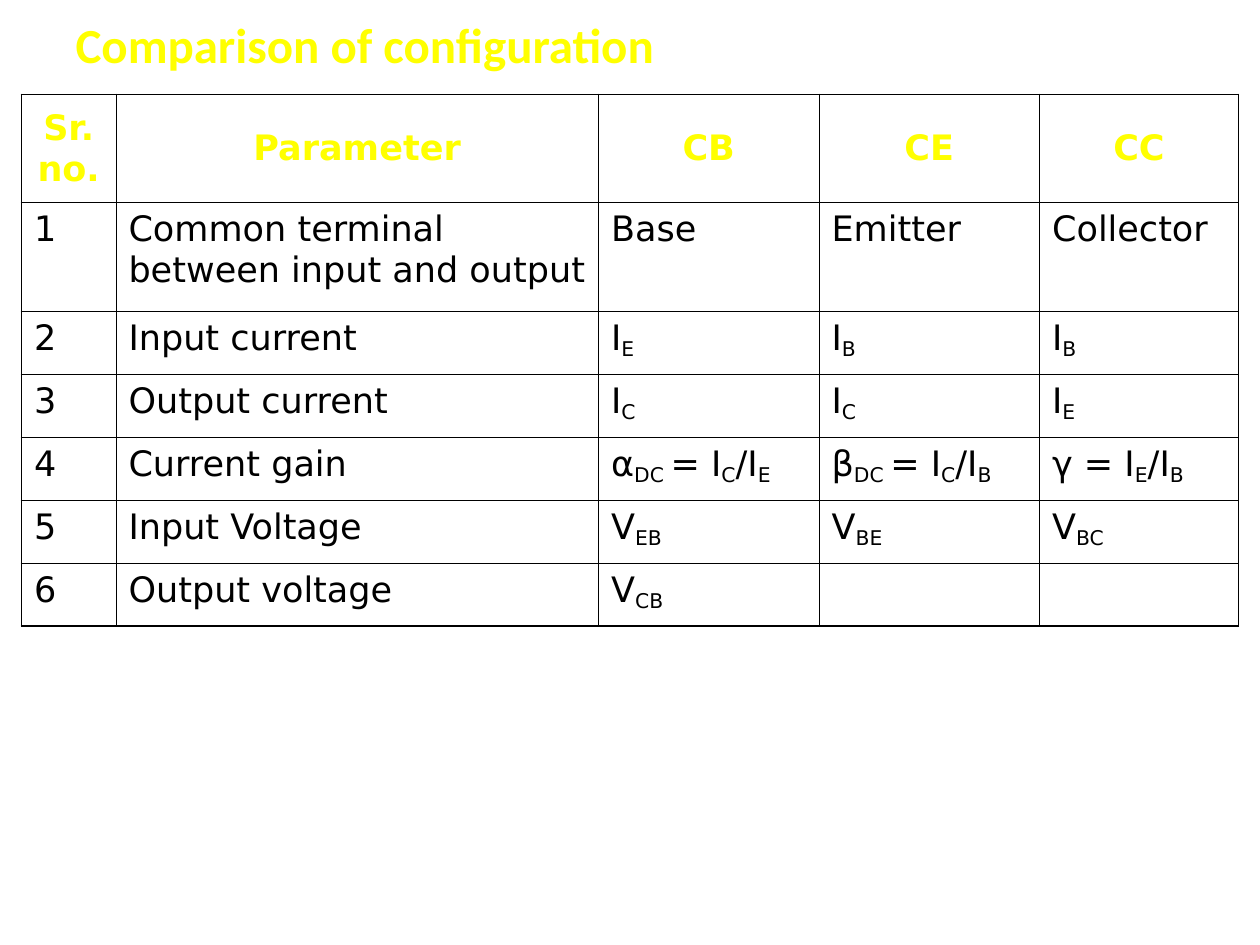
"""Build a slide that compares transistor configurations in a table."""
import dataclasses

import pptx
import pptx.dml.color
import pptx.enum.text
import pptx.oxml
import pptx.oxml.ns
import pptx.util
from pptx.util import Inches


@dataclasses.dataclass(frozen=True)
class Theme:
    accent: str = "FFFF00"
    ink: str = "000000"
    head: str = "Calibri"
    body: str = "DejaVu Sans"
    big: float = 28
    small: float = 20
    thick: float = 1.08
    thin: float = 0.45


theme = Theme()


def style(run, face, size, color, bold):
    run.font.name = face
    run.font.size = pptx.util.Pt(size)
    run.font.bold = bold
    run.font.color.rgb = pptx.dml.color.RGBColor.from_string(color)


def edge(cell, side, width):
    line = pptx.oxml.parse_xml(
        f'<a:ln{side} {pptx.oxml.ns.nsdecls("a")} w="{pptx.util.Pt(width)}">'
        f'<a:solidFill><a:srgbClr val="{theme.ink}"/></a:solidFill></a:ln{side}>'
    )
    cell._tc.get_or_add_tcPr().append(line)


deck = pptx.Presentation()
deck.slide_width, deck.slide_height = Inches(10), Inches(7.5)
slide = deck.slides.add_slide(deck.slide_layouts[5])

title = slide.shapes.title
title.left, title.top = Inches(0.5), Inches(0.08)
title.width, title.height = Inches(9), Inches(0.53)
frame = title.text_frame
frame.text = "Comparison of configuration"
frame.auto_size = pptx.enum.text.MSO_AUTO_SIZE.NONE
frame.vertical_anchor = pptx.enum.text.MSO_ANCHOR.MIDDLE
frame.paragraphs[0].alignment = pptx.enum.text.PP_ALIGN.LEFT
style(frame.paragraphs[0].runs[0], theme.head, theme.big, theme.accent, True)

rows = [
    ["Sr.\vno.", "Parameter", "CB", "CE", "CC"],
    ["1", "Common terminal between input and output", "Base", "Emitter", "Collector"],
    ["2", "Input current", "I_E", "I_B", "I_B"],
    ["3", "Output current", "I_C", "I_C", "I_E"],
    ["4", "Current gain", "α_DC _= I_C_/I_E", "β_DC _= I_C_/I_B", "γ = I_E_/I_B"],
    ["5", "Input Voltage", "V_EB", "V_BE", "V_BC"],
    ["6", "Output voltage", "V_CB", "", ""],
]
widths = [0.75, 3.83, 1.75, 1.75, 1.58]
heights = [0.86] * 2 + [0.5] * 5
last_row, last_col = len(rows) - 1, len(widths) - 1

table = slide.shapes.add_table(
    len(rows), len(widths), Inches(0.17), Inches(0.75),
    Inches(sum(widths)), Inches(sum(heights)),
).table
table.first_row = table.horz_banding = False
for col, width in zip(table.columns, widths):
    col.width = Inches(width)

for y, (row, height) in enumerate(zip(rows, heights)):
    table.rows[y].height = Inches(height)
    for x, text in enumerate(row):
        cell = table.cell(y, x)
        outer = {"L": x == 0, "R": x == last_col, "T": y == 0, "B": y == last_row}
        for side, rim in outer.items():
            edge(cell, side, theme.thick if rim else theme.thin)
        cell.fill.background()
        para = cell.text_frame.paragraphs[0]
        first, *rest = text.split("_")
        para.text = first
        for part in rest:
            para.add_run().text = part
        for run in para.runs:
            style(run, theme.body, theme.small, theme.ink if y else theme.accent, y == 0)
        if y == 0:
            cell.vertical_anchor = pptx.enum.text.MSO_ANCHOR.MIDDLE
            para.alignment = pptx.enum.text.PP_ALIGN.CENTER
        else:
            for run in para.runs[1::2]:
                run._r.get_or_add_rPr().set("baseline", "-18000")

deck.save("out.pptx")
